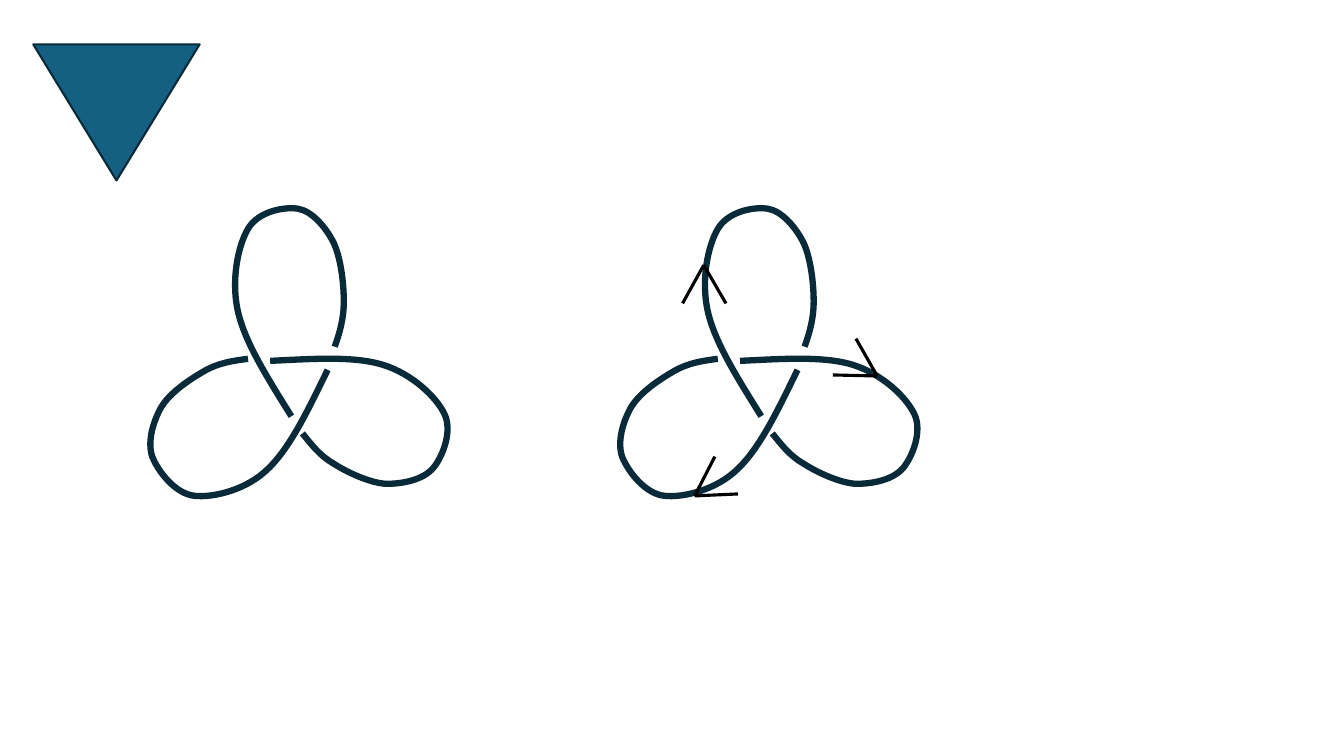
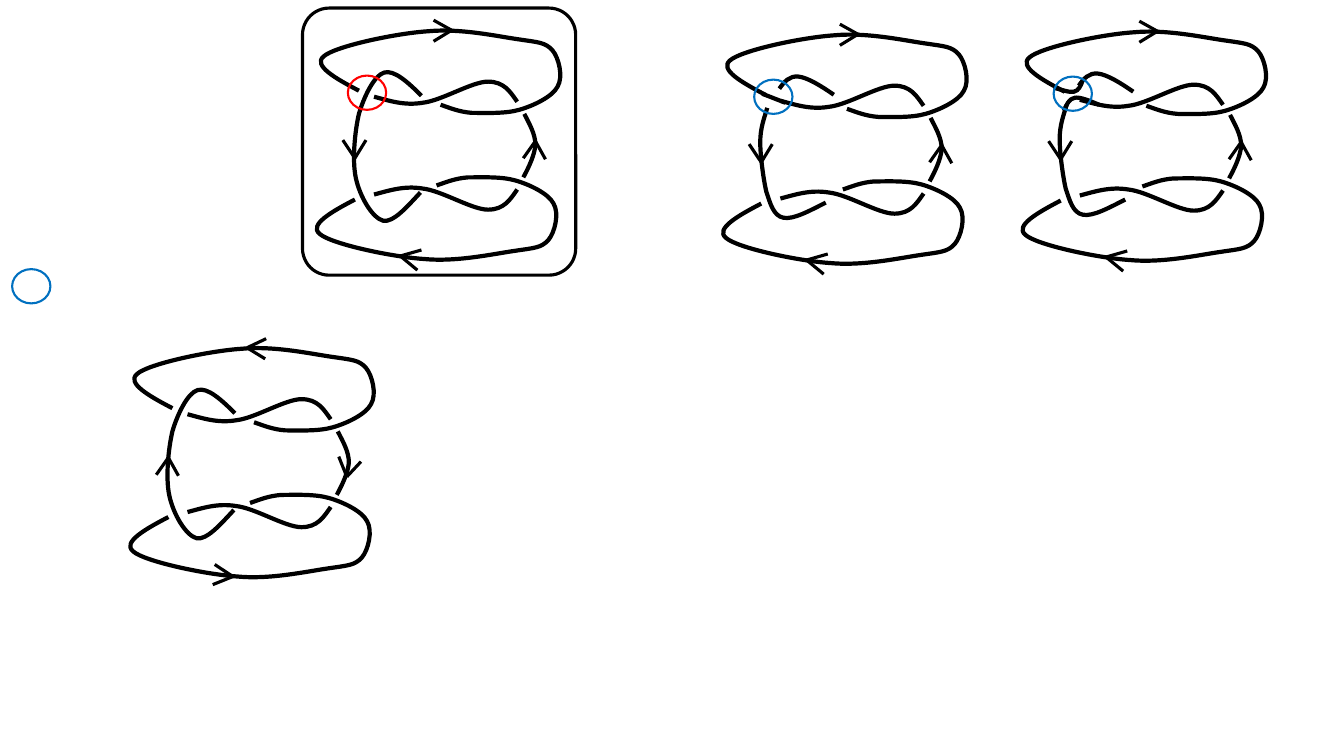
from lxml.etree import SubElement
from pptx import Presentation
from pptx.dml.color import RGBColor
from pptx.enum.shapes import MSO_CONNECTOR, MSO_SHAPE
from pptx.oxml.ns import qn
from pptx.util import Pt

PX = 9144
SLIDE_SIZE = (1333, 750)
COLORS = {
    "teal": "156082",
    "navy": "092A39",
    "black": "000000",
    "red": "FF0000",
    "blue": "0070C0",
}

TRIANGLE = (33, 44, 165, 135)
TREFOIL = [
    [(289, 413), (266, 376), (243, 340), (236, 309), (229, 278), (236, 244), (246, 227),
     (256, 210), (281, 205), (295, 207), (309, 209), (323, 225), (331, 241),
     (338, 256), (341, 281), (341, 299), (341, 316), (337, 330), (332, 344)],
    [(325, 367), (306, 406), (288, 444), (266, 465), (245, 486), (212, 494), (193, 492),
     (174, 490), (157, 468), (151, 453), (146, 438), (152, 418), (160, 404),
     (169, 389), (189, 376), (203, 368), (217, 360), (231, 358), (246, 356)],
    [(268, 358), (310, 356), (351, 353), (380, 362), (409, 371), (433, 394), (441, 411),
     (449, 428), (439, 453), (430, 464), (420, 476), (400, 480), (383, 480),
     (367, 479), (345, 469), (331, 460), (317, 452), (309, 441), (300, 430)],
]
TREFOIL_ARROWS = [
    [(677, 301), (698, 263), (720, 301)],
    [(732, 490), (689, 492), (709, 453)],
    [(849, 336), (870, 373), (826, 372)],
]
TREFOILS = [(0, []), (466, TREFOIL_ARROWS)]

WEAVE = [(371, 96), (386, 100), (401, 105), (419, 102), (438, 100), (468, 81), (484, 81),
         (500, 81), (506, 91), (513, 101)]
LOBE = [(437, 104), (446, 107), (455, 111), (468, 112), (482, 112), (501, 113), (515, 109),
        (529, 105), (548, 96), (553, 86), (559, 76), (554, 57), (548, 50),
        (541, 42), (534, 42), (514, 39), (493, 36), (457, 28), (425, 31),
        (393, 33), (332, 46), (321, 56), (310, 65), (333, 78), (356, 90)]
RIGHT_SIDE = [(520, 113), (525, 123), (531, 133), (531, 144), (530, 154), (525, 165), (519, 176)]
CLASP = [(418, 95), (405, 82), (391, 69), (381, 72), (371, 75), (361, 96), (356, 113),
         (352, 130), (349, 159), (353, 177), (357, 195), (369, 216), (380, 219),
         (390, 221), (403, 206), (417, 191)]
DESCENT = [(358, 103), (355, 113), (351, 123), (351, 137), (351, 150), (354, 173), (357, 186),
           (361, 198), (364, 210), (374, 212), (384, 214), (400, 205), (416, 197)]
HUMP = [(370, 84), (375, 77), (380, 71), (389, 72), (398, 73), (411, 81), (424, 90)]
OVERPASS = [(353, 89), (376, 98)]
UPPER_TURN = [(345, 86), (353, 88), (361, 91), (365, 90), (370, 89), (372, 84), (374, 78)]
LOWER_TURN = [(355, 109), (358, 103), (360, 97), (366, 96), (371, 95), (381, 99), (390, 103)]

FORWARD_ARROWS = [
    [(430, 20), (448, 30), (430, 41)],
    [(414, 268), (397, 254), (418, 248)],
    [(519, 157), (531, 140), (541, 158)],
    [(363, 139), (352, 157), (340, 139)],
]
REVERSE_ARROWS = [
    [(448, 41), (430, 30), (449, 21)],
    [(398, 245), (416, 257), (396, 265)],
    [(543, 143), (529, 158), (521, 138)],
    [(340, 156), (352, 139), (362, 157)],
]
CIRCLE = (345, 75, 38, 34)
FRAME = (300, 8, 271, 265)
SPARE_CIRCLE = (12, 267, 38, 34)
LINKS = [
    dict(offset=(-185, 315), strands=[CLASP], arrows=REVERSE_ARROWS),
    dict(offset=(0, 0), strands=[CLASP], arrows=FORWARD_ARROWS, circle="red", framed=True),
    dict(offset=(403, 4), strands=[OVERPASS, DESCENT, HUMP], arrows=FORWARD_ARROWS,
         circle="blue"),
    dict(offset=(700, 1), strands=[DESCENT, HUMP, UPPER_TURN, LOWER_TURN],
         arrows=FORWARD_ARROWS, circle="blue", weave_drop=2),
]


def move(points, dx, dy):
    return [(x + dx, y + dy) for x, y in points]


def mirror(points, height, dx=0):
    return [(x + dx, height - y) for x, y in points]


def set_line(shape, color, width):
    shape.line.color.rgb = RGBColor.from_string(COLORS[color])
    shape.line.width = Pt(width)


def add_preset(slide, kind, bounds, line, width, fill=None):
    shape = slide.shapes.add_shape(kind, *(value * PX for value in bounds))
    shape.shadow.inherit = False
    if fill:
        shape.fill.solid()
        shape.fill.fore_color.rgb = RGBColor.from_string(COLORS[fill])
    else:
        shape.fill.background()
    set_line(shape, line, width)
    return shape


def add_line(slide, start, end, color, width):
    ends = [value * PX for value in (*start, *end)]
    line = slide.shapes.add_connector(MSO_CONNECTOR.STRAIGHT, *ends)
    set_line(line, color, width)
    SubElement(line.element.spPr, qn("a:effectLst"))
    return line


def add_curve(slide, points, color, width):
    points = [(x * PX, y * PX) for x, y in points]
    anchors = points[::3]
    builder = slide.shapes.build_freeform(*anchors[0])
    builder.add_line_segments(anchors[1:], close=False)
    shape = builder.convert_to_shape()
    left = min(x for x, y in anchors)
    top = min(y for x, y in anchors)
    path = next(shape.element.iter(qn("a:path")))
    for index, segment in enumerate(path.findall(qn("a:lnTo"))):
        curve = SubElement(path, qn("a:cubicBezTo"))
        for x, y in points[3 * index + 1:3 * index + 4]:
            SubElement(curve, qn("a:pt"), x=str(x - left), y=str(y - top))
        path.replace(segment, curve)
    shape.shadow.inherit = False
    shape.fill.background()
    set_line(shape, color, width)
    return shape


def add_strand(slide, points, color, width):
    if len(points) == 2:
        return add_line(slide, *points, color, width)
    return add_curve(slide, points, color, width)


def add_arrow(slide, points):
    return [add_line(slide, start, end, "black", 2.25)
            for start, end in zip(points, points[1:])]


def add_trefoil(slide, dx, arrows):
    parts = [add_curve(slide, move(strand, dx, 0), "navy", 4.5) for strand in TREFOIL]
    for arrow in arrows:
        parts += add_arrow(slide, arrow)
    slide.shapes.add_group_shape(parts)


def add_link(slide, offset, strands, arrows, circle=None, framed=False, weave_drop=0):
    dx, dy = offset
    shared = [move(WEAVE, 0, weave_drop), mirror(WEAVE, 289), RIGHT_SIDE,
              LOBE, mirror(LOBE, 288, -4)]
    parts = [add_strand(slide, move(strand, dx, dy), "black", 3)
             for strand in shared + strands]
    for arrow in arrows:
        parts += add_arrow(slide, move(arrow, dx, dy))
    left, top, width, height = CIRCLE
    if circle:
        bounds = (left + dx, top + dy, width, height)
        parts.append(add_preset(slide, MSO_SHAPE.OVAL, bounds, circle, 1.5))
    if framed:
        frame = add_preset(slide, MSO_SHAPE.ROUNDED_RECTANGLE, FRAME, "black", 2.25)
        frame.adjustments[0] = 0.1
        parts.append(frame)
    slide.shapes.add_group_shape(parts)


def main():
    deck = Presentation()
    deck.slide_width, deck.slide_height = (value * PX for value in SLIDE_SIZE)
    blank = deck.slide_layouts[6]

    knot_page = deck.slides.add_slide(blank)
    triangle = add_preset(knot_page, MSO_SHAPE.ISOSCELES_TRIANGLE, TRIANGLE,
                          "navy", 1.5, fill="teal")
    triangle.rotation = 180
    for dx, arrows in TREFOILS:
        add_trefoil(knot_page, dx, arrows)

    link_page = deck.slides.add_slide(blank)
    for link in LINKS:
        add_link(link_page, **link)
    add_preset(link_page, MSO_SHAPE.OVAL, SPARE_CIRCLE, "blue", 1.5)

    deck.save("out.pptx")


if __name__ == "__main__":
    main()
